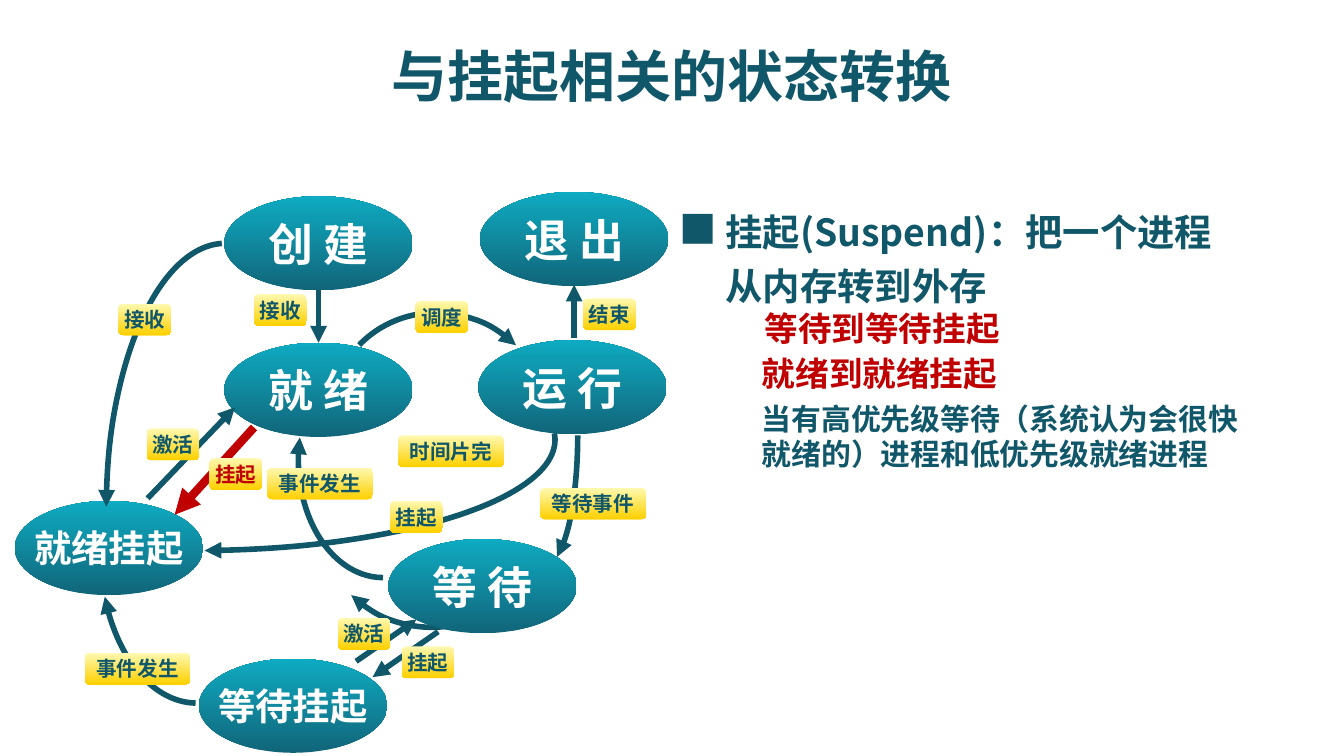
"""Build a slide on the process state changes that involve suspension."""
from copy import deepcopy
from lxml.etree import SubElement
from pptx import Presentation
from pptx.dml.color import RGBColor
from pptx.enum.shapes import MSO_CONNECTOR, MSO_SHAPE
from pptx.enum.text import MSO_ANCHOR, PP_ALIGN
from pptx.oxml.ns import qn
from pptx.util import Cm, Pt

HUES = {
    "ink": "11576A", "red": "C00000", "white": "FFFFFF",
    "deep": "116579", "teal": "0F9BB1", "aqua": "0EABC2",
    "cream": "FFF9B1", "gold": "FDD000",
}
HUES = {name: RGBColor.from_string(code) for name, code in HUES.items()}
FACE = "Noto Sans CJK SC"


def write(frame, text, size, hue, align=PP_ALIGN.LEFT, face=FACE):
    para = frame.paragraphs[0]
    para.alignment = align
    run = para.add_run()
    run.text = text
    run.font.size = Pt(size)
    run.font.bold = True
    run.font.color.rgb = HUES[hue]
    run.font.name = face
    SubElement(run.font._element, qn("a:ea"), typeface=face)


def blend(shape, stops, angle):
    shape.shadow.inherit = False
    shape.line.fill.background()
    shape.fill.gradient()
    shape.fill.gradient_angle = angle
    marks = shape._element.spPr.find(".//" + qn("a:gsLst"))
    while len(marks) < len(stops):
        marks.append(deepcopy(marks[0]))
    for mark, (place, hue) in zip(shape.fill.gradient_stops, stops):
        mark.position = place
        mark.color.rgb = HUES[hue]
    frame = shape.text_frame
    frame.margin_left = frame.margin_right = 0
    frame.margin_top = frame.margin_bottom = 0
    frame.word_wrap = False
    frame.vertical_anchor = MSO_ANCHOR.MIDDLE


deck = Presentation()
deck.slide_width, deck.slide_height = Cm(25.4), Cm(14.29)
slide = deck.slides.add_slide(deck.slide_layouts[6])
shapes = slide.shapes

states = [
    ("创 建", 24, 4.24, 3.71), ("就 绪", 24, 4.24, 6.48),
    ("运 行", 24, 9.04, 6.43), ("等 待", 24, 7.34, 10.19),
    ("退 出", 24, 9.07, 3.63), ("就绪挂起", 20, 0.28, 9.47),
    ("等待挂起", 20, 3.76, 12.45),
]
for text, size, left, top in states:
    state = shapes.add_shape(MSO_SHAPE.OVAL, Cm(left), Cm(top), Cm(3.56), Cm(1.78))
    blend(state, [(0, "deep"), (0.77, "teal"), (1, "aqua")], 90)
    write(state.text_frame, text, size, "white", PP_ALIGN.CENTER)

arcs = [
    ((9.65, 5.74, 1.27, 4.98), (0.08, 50.35), 0, "", "tailEnd"),
    ((5.97, 7.52, 4.24, 4.37), (160.58, 215.56), 134, "", "tailEnd"),
    ((6.27, 5.87, 4.11, 4.27), (162, 0), 314, "", "tailEnd"),
    ((-3.2, 6.22, 13.69, 4.19), (215.38, 50.37), 0, "", "tailEnd"),
    ((5.64, 6.45, 3.2, 4.47), (207.14, 54), 0, "H", "headEnd"),
    ((1.9, 7.57, 3.63, 5.72), (15.68, 53.78), 0, "H", "headEnd"),
    ((2.01, 4.6, 4.5, 10.03), (0.54, 53.54), 0, "HV", "headEnd"),
]
for box, span, turn, flips, tip in arcs:
    arc = shapes.add_shape(MSO_SHAPE.ARC, *map(Cm, box))
    arc.adjustments[0], arc.adjustments[1] = span
    arc.rotation = turn
    for flip in flips:
        arc._element.spPr.xfrm.set("flip" + flip, "1")
    arc.shadow.inherit = False
    arc.fill.background()
    arc.line.color.rgb = HUES["ink"]
    arc.line.width = Pt(3)
    SubElement(arc.line._get_or_add_ln(), qn("a:" + tip), type="triangle")
    if turn == 134:
        shapes._spTree.insert(2, arc._element)

lines = [
    ((6.02, 5.49, 6.02, 6.48), "ink", 3), ((10.85, 6.38, 10.85, 5.38), "ink", 3),
    ((8.28, 11.94, 7.04, 12.8), "ink", 3), ((6.73, 12.5, 7.87, 11.71), "ink", 3),
    ((2.79, 9.42, 4.44, 7.7), "ink", 3), ((4.8, 8.08, 3.3, 9.73), "red", 4.5),
]
for ends, hue, width in lines:
    line = shapes.add_connector(MSO_CONNECTOR.STRAIGHT, *map(Cm, ends))
    line.line.color.rgb = HUES[hue]
    line.line.width = Pt(width)
    SubElement(line.line._get_or_add_ln(), qn("a:tailEnd"), type="triangle")
    SubElement(line._element.spPr, qn("a:effectLst"))

labels = [
    ("挂起", 7.37, 9.47, "ink"), ("接收", 2.24, 5.74, "ink"),
    ("事件发生", 1.6, 12.34, "ink"), ("接收", 4.8, 5.56, "ink"),
    ("激活", 2.77, 8.1, "ink"), ("挂起", 3.96, 8.66, "red"),
    ("事件发生", 5.05, 8.84, "ink"), ("激活", 6.38, 11.68, "ink"),
    ("挂起", 7.59, 12.22, "ink"), ("等待事件", 10.21, 9.22, "ink"),
    ("时间片完", 7.52, 8.23, "ink"), ("调度", 7.85, 5.69, "ink"),
    ("结束", 11.02, 5.64, "ink"),
]
for text, left, top, hue in labels:
    label = shapes.add_shape(
        MSO_SHAPE.ROUNDED_RECTANGLE, Cm(left), Cm(top), Cm(len(text) / 2), Cm(0.6))
    blend(label, [(0, "cream"), (1, "gold")], 270)
    write(label.text_frame, text, 11, hue, PP_ALIGN.CENTER)

title = shapes.add_textbox(Cm(1.9), Cm(0.25), Cm(21.59), Cm(2.34)).text_frame
title.word_wrap = True
title.vertical_anchor = MSO_ANCHOR.MIDDLE
write(title, "与挂起相关的状态转换", 30, "ink", PP_ALIGN.CENTER)

mark = shapes.add_textbox(Cm(12.6), Cm(3.78), Cm(1), Cm(1.12)).text_frame
mark.word_wrap = False
write(mark, "■", 20, "ink", face="Noto Sans CJK JP")

notes = [
    ("挂起(Suspend)：把一个进程从内存转到外存", 20, "ink", (13.46, 3.66, 9.86, 1.19), 1.2),
    ("等待到等待挂起", 18, "red", (14.2, 5.69, 9.7, 2.18), 1),
    ("就绪到就绪挂起", 18, "red", (14.15, 6.55, 9.7, 2.18), 1),
    ("当有高优先级等待（系统认为会很快就绪的）进程和低优先级就绪进程",
     16, "ink", (14.15, 7.44, 9.68, 2.18), 1),
]
for text, size, hue, box, pitch in notes:
    note = shapes.add_textbox(*map(Cm, box)).text_frame
    note.word_wrap = True
    note.paragraphs[0].line_spacing = pitch
    write(note, text, size, hue)

deck.save("out.pptx")
